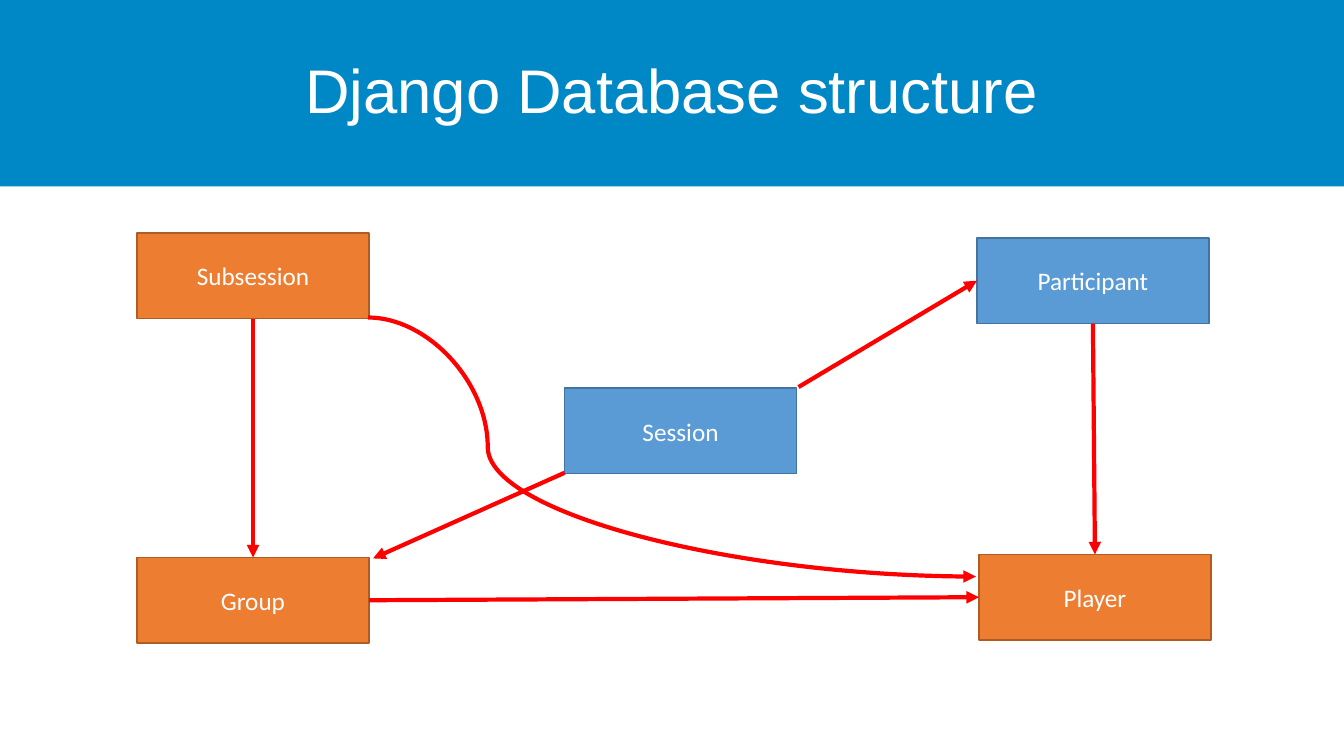
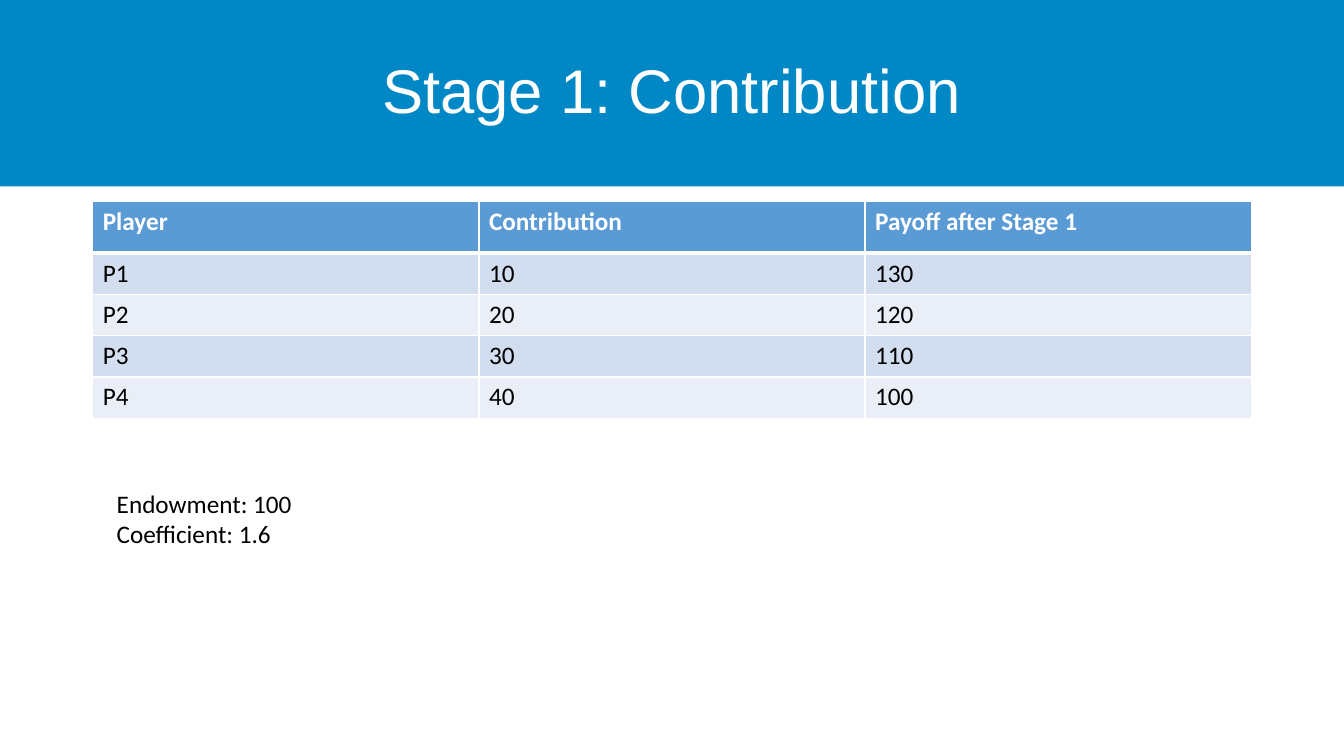
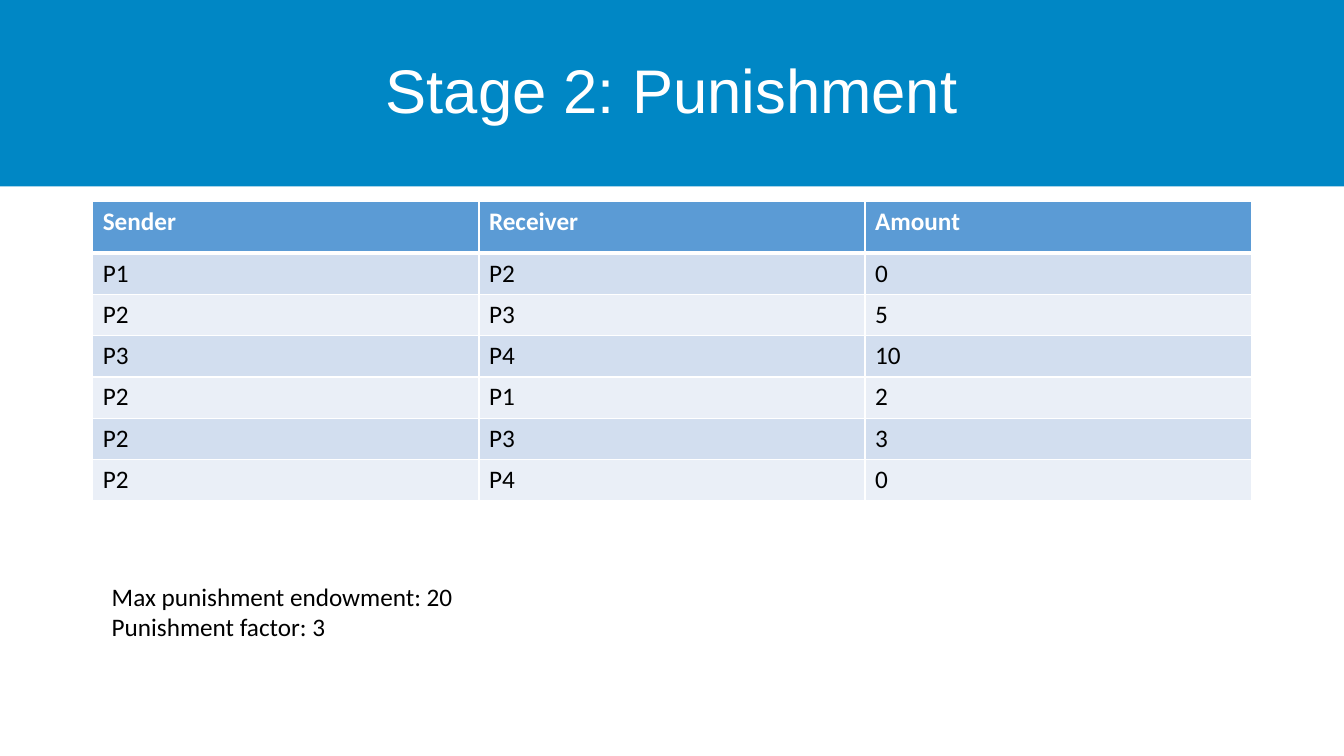
"""Build three slides on the database structure and the two game stages."""
from pptx import Presentation
from pptx.dml.color import RGBColor
from pptx.enum.shapes import MSO_CONNECTOR, MSO_SHAPE
from pptx.enum.text import MSO_ANCHOR, MSO_AUTO_SIZE, PP_ALIGN
from pptx.oxml.ns import qn
from pptx.util import Inches, Pt
from lxml import etree

RECT = MSO_SHAPE.RECTANGLE
STRAIGHT, CURVE = MSO_CONNECTOR.STRAIGHT, MSO_CONNECTOR.CURVE
MIDDLE, CENTER = MSO_ANCHOR.MIDDLE, PP_ALIGN.CENTER
FIT_SHAPE = MSO_AUTO_SIZE.SHAPE_TO_FIT_TEXT
TOP, LEFT, BOTTOM, RIGHT = range(4)

BAND = RGBColor(0x00, 0x87, 0xC5)
ORANGE = RGBColor(0xED, 0x7D, 0x31)
ORANGE_EDGE = RGBColor(0xAF, 0x5C, 0x24)
BLUE = RGBColor(0x5B, 0x9B, 0xD5)
BLUE_EDGE = RGBColor(0x43, 0x73, 0x9E)
RED = RGBColor(0xFF, 0x00, 0x00)
ROW_FILLS = (RGBColor(0xEA, 0xEF, 0xF7), RGBColor(0xD2, 0xDE, 0xEF))
WHITE = RGBColor(0xFF, 0xFF, 0xFF)
BLACK = RGBColor(0x00, 0x00, 0x00)

SLIDE_W, SLIDE_H, BAND_H = 13.33, 7.5, 1.85
BOX_W, BOX_H = 2.3, 0.85
COL_W, HEAD_H, ROW_H = 3.83, 0.51, 0.41
TITLE_FONT = {"name": "Arial", "size": Pt(44)}
BODY_FONT = {"name": "Calibri", "size": Pt(18), "bold": False}
HEAD_FONT = {**BODY_FONT, "bold": True}

BOXES = {
    "Subsession": (1.36, 2.31, ORANGE, ORANGE_EDGE),
    "Player": (9.71, 5.5, ORANGE, ORANGE_EDGE),
    "Session": (5.6, 3.85, BLUE, BLUE_EDGE),
    "Participant": (9.69, 2.36, BLUE, BLUE_EDGE),
    "Group": (1.36, 5.53, ORANGE, ORANGE_EDGE),
}
ARROWS = [
    ((7.92, 3.84), ("Participant", LEFT)),
    (("Participant", BOTTOM), ("Player", TOP)),
    (("Group", RIGHT), ("Player", LEFT)),
    (("Subsession", BOTTOM), ("Group", TOP)),
    ((5.6, 4.69), (3.7, 5.54)),
]
STAGE_1 = [
    ("Player", "Contribution", "Payoff after Stage 1"),
    ("P1", "10", "130"),
    ("P2", "20", "120"),
    ("P3", "30", "110"),
    ("P4", "40", "100"),
]
STAGE_2 = [
    ("Sender", "Receiver", "Amount"),
    ("P1", "P2", "0"),
    ("P2", "P3", "5"),
    ("P3", "P4", "10"),
    ("P2", "P1", "2"),
    ("P2", "P3", "3"),
    ("P2", "P4", "0"),
]


def write(p, text, fmt, color):
    """Write one formatted run into a paragraph."""
    r = p.add_run()
    r.text = text
    for name, value in fmt.items():
        setattr(r.font, name, value)
    r.font.color.rgb = color


def add_box(slide, at, text, fmt, fill, edge=None):
    """Add a filled rectangle with centred white text."""
    sp = slide.shapes.add_shape(RECT, *map(Inches, at))
    sp.shadow.inherit = False
    sp.fill.solid()
    sp.fill.fore_color.rgb = fill
    if edge is None:
        sp.line.fill.background()
    else:
        sp.line.color.rgb = edge
        sp.line.width = Pt(1)
    sp.text_frame.vertical_anchor = MIDDLE
    p = sp.text_frame.paragraphs[0]
    p.alignment = CENTER
    write(p, text, fmt, WHITE)
    return sp


def add_titled_slide(prs, title):
    """Add a blank slide with the title band."""
    slide = prs.slides.add_slide(prs.slide_layouts[6])
    band = add_box(slide, (0, 0, SLIDE_W, BAND_H), title, TITLE_FONT, BAND)
    band.text_frame.paragraphs[0].line_spacing = 0.9
    return slide


def add_arrow(slide, kind, start, end):
    """Add a red connector with a triangle at its end."""
    cxn = slide.shapes.add_connector(kind, *map(Inches, start + end))
    cxn.line.color.rgb = RED
    cxn.line.width = Pt(3)
    ln = cxn.line._get_or_add_ln()
    etree.SubElement(ln, qn("a:tailEnd"), type="triangle")
    etree.SubElement(ln.getparent(), qn("a:effectLst"))
    return cxn


def side_middle(name, side):
    """Return the middle of one side of a named box."""
    x, y = BOXES[name][:2]
    dx, dy = ((0.5, 0), (0, 0.5), (0.5, 1), (1, 0.5))[side]
    return x + dx * BOX_W, y + dy * BOX_H


def join(slide, boxes, start, end):
    """Draw a straight arrow between points or box sides."""
    points = [side_middle(*e) if e[0] in boxes else e for e in (start, end)]
    cxn = add_arrow(slide, STRAIGHT, *points)
    for e, connect in ((start, cxn.begin_connect), (end, cxn.end_connect)):
        if e[0] in boxes:
            connect(boxes[e[0]], e[1])


def set_borders(cell, widths):
    """Give a cell white borders of the given widths."""
    tc_pr = cell._tc.get_or_add_tcPr()
    for tag, width in widths.items():
        ln = etree.SubElement(tc_pr, qn("a:" + tag), w=str(Pt(width)))
        fill = etree.SubElement(ln, qn("a:solidFill"))
        etree.SubElement(fill, qn("a:srgbClr"), val=str(WHITE))


def add_grid(slide, rows):
    """Add a table with a header and alternating row fills."""
    n = len(rows[0])
    height = HEAD_H + ROW_H * (len(rows) - 1)
    at = map(Inches, (0.92, 2, COL_W * n, height))
    table = slide.shapes.add_table(len(rows), n, *at).table
    for i, row in enumerate(rows):
        head = i == 0
        table.rows[i].height = Inches(HEAD_H if head else ROW_H)
        fill = BLUE if head else ROW_FILLS[i % 2]
        fmt, color = (HEAD_FONT, WHITE) if head else (BODY_FONT, BLACK)
        widths = {"lnL": 1, "lnR": 1, "lnT": 3 if i == 1 else 1, "lnB": 3 if head else 1}
        for j, text in enumerate(row):
            cell = table.cell(i, j)
            set_borders(cell, widths)
            cell.fill.solid()
            cell.fill.fore_color.rgb = fill
            write(cell.text_frame.paragraphs[0], text, fmt, color)


def add_note(slide, at, lines):
    """Add an unwrapped text box with one paragraph per line."""
    tf = slide.shapes.add_textbox(*map(Inches, at)).text_frame
    tf.word_wrap = False
    tf.auto_size = FIT_SHAPE
    for i, line in enumerate(lines):
        p = tf.add_paragraph() if i else tf.paragraphs[0]
        write(p, line, BODY_FONT, BLACK)


def add_structure(prs):
    """Add the database diagram slide."""
    slide = add_titled_slide(prs, "Django Database structure")
    boxes = {
        name: add_box(slide, (x, y, BOX_W, BOX_H), name, BODY_FONT, fill, edge)
        for name, (x, y, fill, edge) in BOXES.items()
    }
    for start, end in ARROWS:
        join(slide, boxes, start, end)
    curve = add_arrow(slide, CURVE, (3.65, 3.15), (9.68, 5.72))
    guides = curve._element.spPr.find(qn("a:prstGeom")).find(qn("a:avLst"))
    etree.SubElement(guides, qn("a:gd"), name="adj1", fmla="val 19700")


def add_stage(prs, title, rows, note_at, note):
    """Add a slide with a stage table and its parameters."""
    slide = add_titled_slide(prs, title)
    add_grid(slide, rows)
    add_note(slide, note_at, note)


def main():
    """Build and save the presentation."""
    prs = Presentation()
    prs.slide_width, prs.slide_height = Inches(SLIDE_W), Inches(SLIDE_H)
    add_structure(prs)
    add_stage(prs, "Stage 1: Contribution", STAGE_1, (1.06, 4.79, 1.96, 0.71),
              ("Endowment: 100", "Coefficient: 1.6"))
    add_stage(prs, "Stage 2: Punishment", STAGE_2, (1.01, 5.72, 3.62, 0.71),
              ("Max punishment endowment: 20", "Punishment factor: 3"))
    prs.save("out.pptx")


if __name__ == "__main__":
    main()
